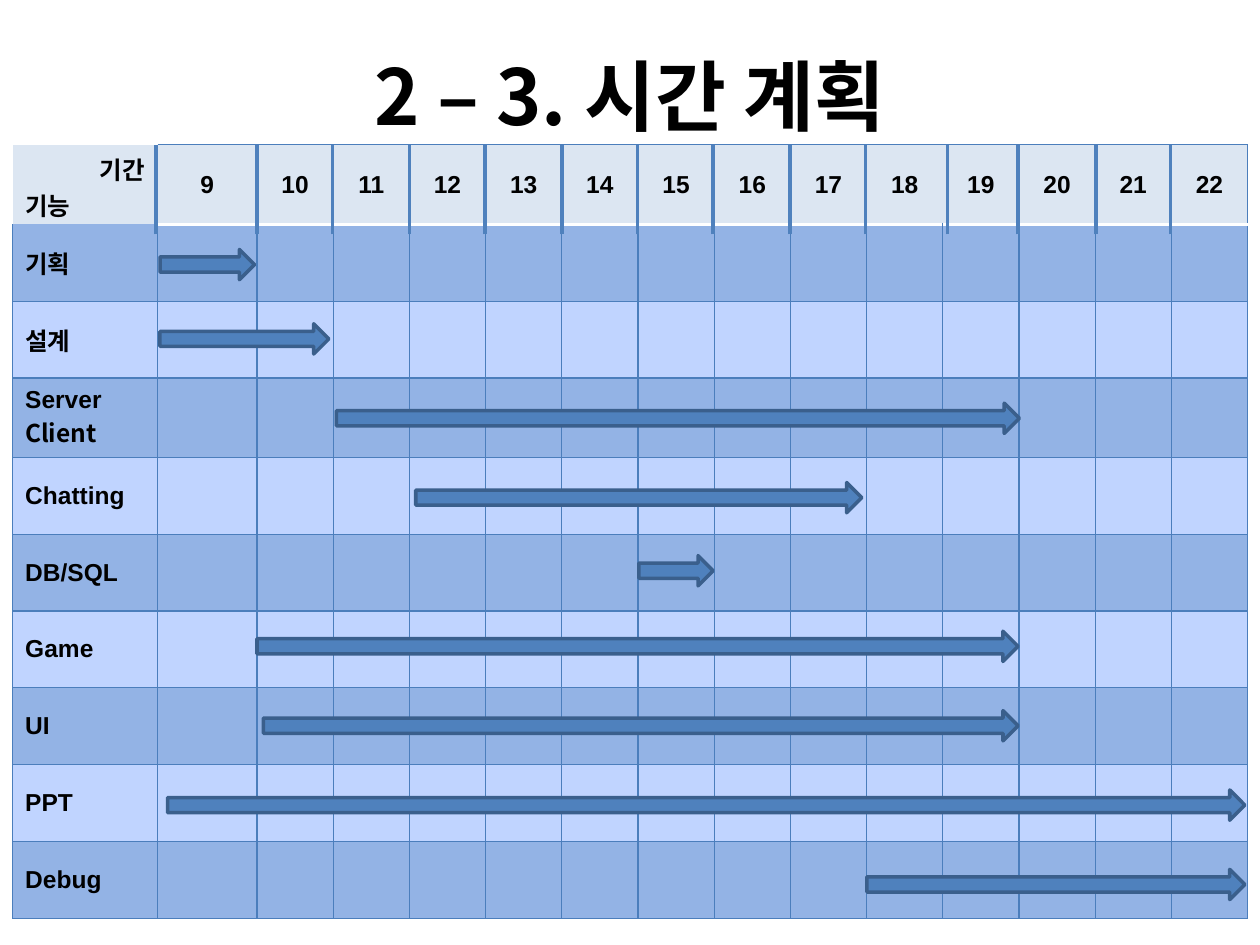
from lxml import etree
from pptx import Presentation
from pptx.dml.color import RGBColor
from pptx.enum.shapes import MSO_CONNECTOR, MSO_SHAPE
from pptx.enum.text import MSO_ANCHOR, PP_ALIGN
from pptx.oxml.ns import qn
from pptx.util import Inches, Pt

ARROW = MSO_SHAPE.RIGHT_ARROW
LINE = MSO_CONNECTOR.STRAIGHT
MIDDLE = MSO_ANCHOR.MIDDLE
LEFT, CENTER, RIGHT = PP_ALIGN.LEFT, PP_ALIGN.CENTER, PP_ALIGN.RIGHT

LATIN, HANGUL = "Arial", "Noto Sans CJK KR"
BLACK, WHITE = "000000", "FFFFFF"
BLUE, EDGE, GRID = "4F81BD", "3A5F8C", "4B7EBC"
HEAD, DARK, LIGHT = "DCE6F2", "93B3E5", "C0D4FF"

DAYS = range(9, 23)
TASKS = ["기획", "설계", "Server\nClient", "Chatting", "DB/SQL",
         "Game", "UI", "PPT", "Debug"]
# Left, top and width of the bar of each task, in the order of TASKS
BARS = [(1.27, 1.98, 0.75), (1.27, 2.57, 1.34), (2.67, 3.2, 5.42),
        (3.3, 3.83, 3.54), (5.07, 4.41, 0.59), (2.04, 5.01, 6.04),
        (2.09, 5.64, 5.99), (1.33, 6.27, 8.55), (6.88, 6.9, 3)]
TOP, NAME_W, FIRST_W, DAY_W = 1.15, 1.15, 0.79, 0.605
SHIFTED = {9: 7.52, 11: 8.7}  # day rules that stand off the even grid


def color(text):
    return RGBColor.from_string(text)


class Deck:
    def __init__(self):
        self.prs = Presentation()
        self.prs.slide_width, self.prs.slide_height = Inches(10), Inches(7.5)
        self.slide = self.prs.slides.add_slide(self.prs.slide_layouts[6])
        self.shapes = self.slide.shapes

    def text(self, par, words, size=14, font=LATIN, align=LEFT):
        par.alignment = align
        run = par.add_run()
        run.text = words
        run.font.size, run.font.bold, run.font.name = Pt(size), True, font
        run.font.color.rgb = color(BLACK)
        east = etree.SubElement(run._r.get_or_add_rPr(), qn("a:ea"))
        east.set("typeface", HANGUL)

    def title(self, words):
        box = self.shapes.add_textbox(Inches(0.5), Inches(0.13), Inches(9), Inches(1.25))
        frame = box.text_frame
        frame.word_wrap, frame.vertical_anchor = True, MIDDLE
        self.text(frame.paragraphs[0], words, 44, HANGUL, CENTER)

    def table(self, widths, heights):
        frame = self.shapes.add_table(len(heights), len(widths), Inches(0.1), Inches(TOP),
                                      Inches(sum(widths)), Inches(sum(heights)))
        grid = frame.table
        grid.first_row = grid.horz_banding = False
        for col, width in zip(grid.columns, widths):
            col.width = Inches(width)
        for row, height in zip(grid.rows, heights):
            row.height = Inches(height)
        return grid

    def cell(self, cell, fill, edges, lines=()):
        """Fill a cell; edges maps L, R, T, B to (colour, points), lines are (words, font, align)."""
        cell.vertical_anchor = MIDDLE
        cell.fill.solid()
        cell.fill.fore_color.rgb = color(fill)
        props = cell._tc.get_or_add_tcPr()
        for spot, side in enumerate("LRTB"):
            border = etree.Element(qn("a:ln" + side))
            if side in edges:
                tint, width = edges[side]
                border.set("w", str(Pt(width)))
                solid = etree.SubElement(border, qn("a:solidFill"))
                etree.SubElement(solid, qn("a:srgbClr")).set("val", tint)
            else:
                border.set("w", "0")
                etree.SubElement(border, qn("a:noFill"))
            props.insert(spot, border)
        frame = cell.text_frame
        for i, (words, font, align) in enumerate(lines):
            par = frame.add_paragraph() if i else frame.paragraphs[0]
            self.text(par, words, font=font, align=align)

    def bar(self, left, top, width):
        bar = self.shapes.add_shape(ARROW, Inches(left), Inches(top), Inches(width), Inches(0.24))
        bar.shadow.inherit = False
        bar.fill.solid()
        bar.fill.fore_color.rgb = color(BLUE)
        bar.line.color.rgb = color(EDGE)
        bar.line.width = Pt(2)

    def rule(self, x):
        rule = self.shapes.add_connector(LINE, Inches(x), Inches(1.86), Inches(x), Inches(TOP))
        rule.line.color.rgb = color(BLUE)
        rule.line.width = Pt(0)
        etree.SubElement(rule._element.spPr, qn("a:effectLst"))


def main():
    deck = Deck()
    deck.title("2 – 3. 시간 계획")

    widths = [NAME_W, FIRST_W] + [DAY_W] * (len(DAYS) - 1)
    heights = [0.63] + [0.63 if "\n" in task else 0.61 for task in TASKS]
    grid = deck.table(widths, heights)
    thin, thick = (GRID, 0.75), (WHITE, 2)

    deck.cell(grid.cell(0, 0), HEAD, {}, [("기간", LATIN, RIGHT), ("기능", LATIN, LEFT)])
    for col, day in enumerate(DAYS, 1):
        edges = {"T": thin, "B": thick}
        if day == DAYS[-1]:
            edges["R"] = thin
        deck.cell(grid.cell(0, col), HEAD, edges, [(str(day), LATIN, CENTER)])

    for row, task in enumerate(TASKS, 1):
        fill = DARK if row % 2 else LIGHT
        names = [(name, HANGUL if i else LATIN, LEFT)
                 for i, name in enumerate(task.split("\n"))]
        for col in range(len(widths)):
            edges = dict.fromkeys("LRTB", thin)
            if row == 1 and col:
                edges["T"] = thick
            elif row == 1:
                del edges["T"]
            deck.cell(grid.cell(row, col), fill, edges, [] if col else names)

    for bar in BARS:
        deck.bar(*bar)
    deck.rule(1.24)
    for i in range(len(DAYS) - 1):
        deck.rule(SHIFTED.get(i, round(2.04 + i * 0.604, 2)))

    deck.prs.save("out.pptx")


if __name__ == "__main__":
    main()
